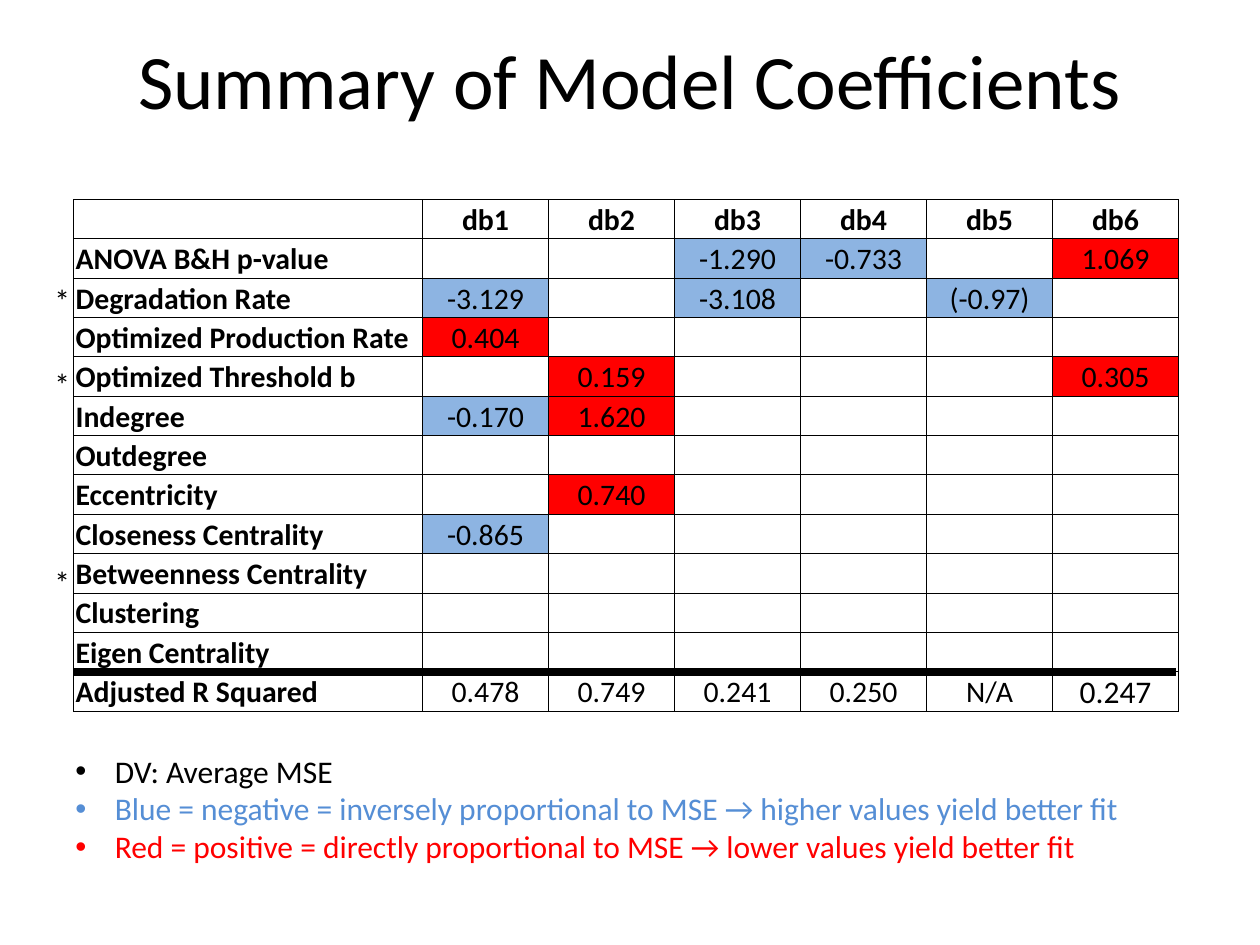
from lxml import etree
from pptx import Presentation
from pptx.dml.color import RGBColor
from pptx.enum.shapes import MSO_CONNECTOR
from pptx.enum.text import MSO_ANCHOR, PP_ALIGN
from pptx.oxml.ns import qn
from pptx.util import Pt

LEFT, CENTER = PP_ALIGN.LEFT, PP_ALIGN.CENTER
TOP, MIDDLE = MSO_ANCHOR.TOP, MSO_ANCHOR.MIDDLE
STRAIGHT = MSO_CONNECTOR.STRAIGHT

BLACK, RED, BLUE, WHITE = "000000", "FF0000", "558ED5", "FFFFFF"
NEGATIVE_FILL = "8DB4E2"

HEADERS = ["", "db1", "db2", "db3", "db4", "db5", "db6"]
COEFFICIENTS = {
    "ANOVA B&H p-value": {"db3": "-1.290", "db4": "-0.733", "db6": "1.069"},
    "Degradation Rate": {"db1": "-3.129", "db3": "-3.108", "db5": "(-0.97)"},
    "Optimized Production Rate": {"db1": "0.404"},
    "Optimized Threshold b": {"db2": "0.159", "db6": "0.305"},
    "Indegree": {"db1": "-0.170", "db2": "1.620"},
    "Outdegree": {},
    "Eccentricity": {"db2": "0.740"},
    "Closeness Centrality": {"db1": "-0.865"},
    "Betweenness Centrality": {},
    "Clustering": {},
    "Eigen Centrality": {},
}
R_SQUARED = ["Adjusted R Squared", "0.478", "0.749", "0.241", "0.250", "N/A", "0.247"]
NOTES = [
    ("DV: Average MSE", BLACK),
    ("Blue = negative = inversely proportional to MSE → higher values yield better fit", BLUE),
    ("Red = positive = directly proportional to MSE → lower values yield better fit", RED),
]
TABLE_LEFT, TABLE_TOP = 42, 114
LABEL_WIDTH, VALUE_WIDTH, ROW_HEIGHT = 199.5, 72, 22.5
STAR_TOPS = [157, 205, 318]


def color(hex_string):
    return RGBColor.from_string(hex_string)


def coefficient_fill(value):
    """Blue for negative, red for positive, white for none."""
    if not value:
        return WHITE
    return NEGATIVE_FILL if "-" in value else RED


class SlideBuilder:
    font_name = "Calibri"
    border_width = 0.5

    def __init__(self, page):
        self.page = page

    def style(self, para, size, hex_string=BLACK, bold=False, align=LEFT):
        para.alignment = align
        font = para.font
        font.name, font.size, font.bold = self.font_name, Pt(size), bold
        font.color.rgb = color(hex_string)

    def text(self, lines, left, top, width, height, size, align=LEFT, anchor=TOP, bullets=False):
        """Add a text box of (wording, colour) lines."""
        box = self.page.shapes.add_textbox(Pt(left), Pt(top), Pt(width), Pt(height))
        frame = box.text_frame
        frame.word_wrap = True
        frame.vertical_anchor = anchor
        for index, (wording, hex_string) in enumerate(lines):
            para = frame.add_paragraph() if index else frame.paragraphs[0]
            para.text = wording
            if bullets:
                self.bullet(para)
            self.style(para, size, hex_string, align=align)

    def bullet(self, para, indent=22.5):
        properties = para._p.get_or_add_pPr()
        properties.set("marL", str(Pt(indent)))
        properties.set("indent", str(-Pt(indent)))
        etree.SubElement(properties, qn("a:buFont"), typeface="Arial")
        etree.SubElement(properties, qn("a:buChar"), char="•")

    def table(self, row_count, left, top, widths, row_height):
        """Add an empty table without a banded style."""
        frame = self.page.shapes.add_table(
            row_count, len(widths), Pt(left), Pt(top), Pt(sum(widths)), Pt(row_height * row_count))
        table = frame.table
        table.first_row = table.horz_banding = False
        for column, width in zip(table.columns, widths):
            column.width = Pt(width)
        for row in table.rows:
            row.height = Pt(row_height)
        return table

    def cell(self, cell, wording, fill=WHITE, size=17, bold=False, align=CENTER):
        cell.margin_left = cell.margin_right = cell.margin_top = Pt(1.2)
        cell.margin_bottom = 0
        cell.vertical_anchor = MIDDLE
        self.borders(cell)
        cell.fill.solid()
        cell.fill.fore_color.rgb = color(fill)
        para = cell.text_frame.paragraphs[0]
        para.text = wording
        self.style(para, size, bold=bold, align=align)

    def borders(self, cell):
        properties = cell._tc.get_or_add_tcPr()
        for side in ("lnL", "lnR", "lnT", "lnB"):
            line = etree.SubElement(properties, qn(f"a:{side}"), w=str(Pt(self.border_width)))
            fill = etree.SubElement(line, qn("a:solidFill"))
            etree.SubElement(fill, qn("a:srgbClr"), val=BLACK)

    def rule(self, left, right, y, width):
        line = self.page.shapes.add_connector(STRAIGHT, Pt(left), Pt(y), Pt(right), Pt(y))
        line.line.color.rgb = color(BLACK)
        line.line.width = Pt(width)
        etree.SubElement(line._element.spPr, qn("a:effectLst"))


def add_coefficient_table(builder):
    databases = HEADERS[1:]
    body = [[label] + [values.get(name, "") for name in databases]
            for label, values in COEFFICIENTS.items()]
    rows = [HEADERS, *body, R_SQUARED]
    last_row, last_column = len(rows) - 1, len(HEADERS) - 1
    widths = [LABEL_WIDTH] + [VALUE_WIDTH] * len(databases)
    table = builder.table(len(rows), TABLE_LEFT, TABLE_TOP, widths, ROW_HEIGHT)
    for r, row in enumerate(rows):
        for c, wording in enumerate(row):
            is_coefficient = 0 < r < last_row and c > 0
            builder.cell(
                table.cell(r, c), wording,
                fill=coefficient_fill(wording) if is_coefficient else WHITE,
                size=18 if (r, c) == (last_row, last_column) else 17,
                bold=r == 0 or c == 0,
                align=CENTER if c else LEFT)


def main():
    deck = Presentation()
    deck.slide_width, deck.slide_height = Pt(720), Pt(540)
    builder = SlideBuilder(deck.slides.add_slide(deck.slide_layouts[6]))

    builder.text([("Summary of Model Coefficients", BLACK)], 36, 0, 648, 90, 44, CENTER, MIDDLE)
    add_coefficient_table(builder)
    builder.text(NOTES, 36, 426, 696, 72.7, 18, bullets=True)
    for top in STAR_TOPS:
        builder.text([("*", BLACK)], 24, top, 24, 29, 18)
    builder.rule(TABLE_LEFT, 672, 384, 4.5)
    deck.save("out.pptx")


if __name__ == "__main__":
    main()
